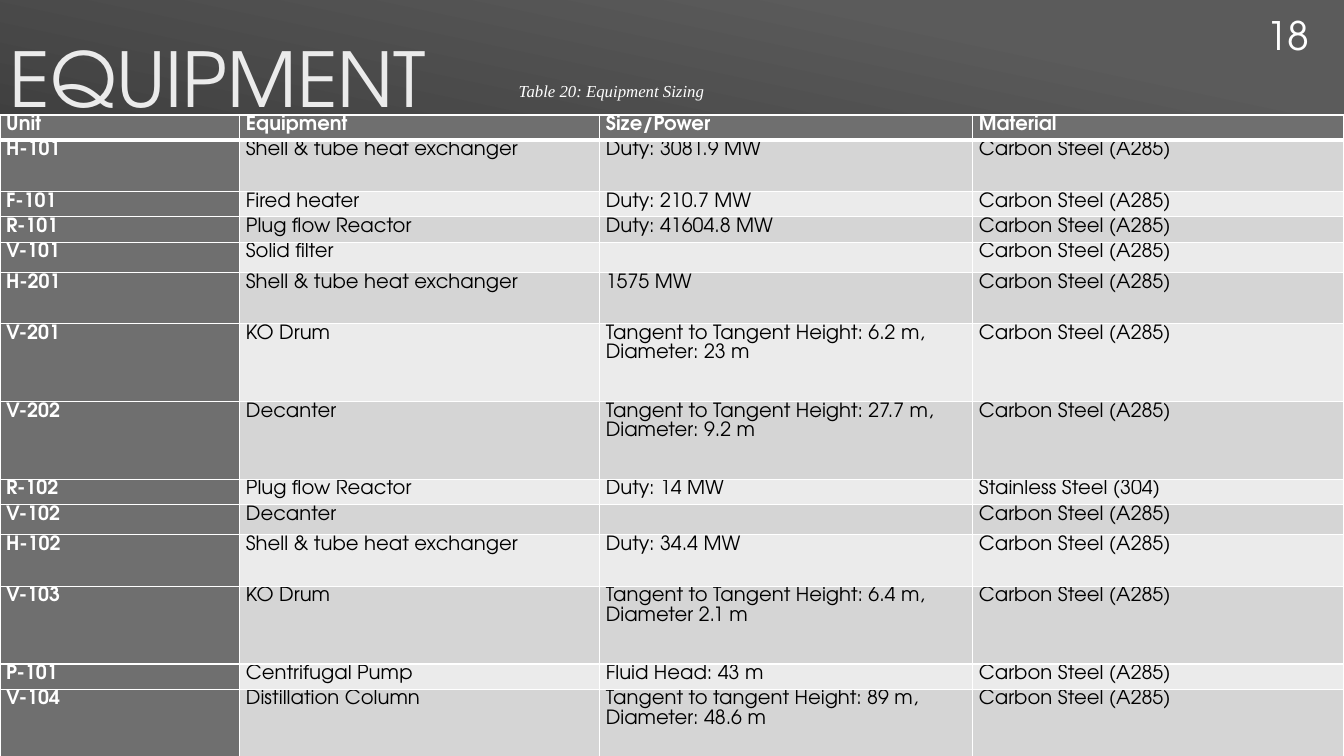
from dataclasses import dataclass

from lxml.etree import SubElement
from pptx import Presentation
from pptx.dml.color import RGBColor
from pptx.enum.text import MSO_ANCHOR, PP_ALIGN
from pptx.oxml.ns import qn
from pptx.util import Inches, Pt

WIDE, HIGH = 13.33, 7.5


@dataclass(frozen=True)
class Theme:
    sans: str = "TeX Gyre Adventor"
    serif: str = "Times New Roman"
    white: str = "FFFFFF"
    black: str = "000000"
    pale: str = "EBEBEB"
    light: str = "D5D5D5"
    dark: str = "6F6F6F"
    glow: str = "5B5B5B"
    title: int = 54
    number: int = 28
    body: int = 14
    note: int = 12


THEME = Theme()
STEEL = "Carbon Steel (A285)"
SHELL = "Shell & tube heat exchanger"
SHARES = (17.85, 26.78, 27.76, 27.61)
ROWS = (
    (1, "Unit", "Equipment", "Size/Power", "Material"),
    (2, "H-101", SHELL, "Duty: 3081.9 MW", STEEL),
    (1, "F-101", "Fired heater", "Duty: 210.7 MW", STEEL),
    (1, "R-101", "Plug flow Reactor", "Duty: 41604.8 MW", STEEL),
    (1, "V-101", "Solid filter", "", STEEL),
    (2, "H-201", SHELL, "1575 MW", STEEL),
    (3, "V-201", "KO Drum", "Tangent to Tangent Height: 6.2 m, Diameter: 23 m", STEEL),
    (3, "V-202", "Decanter", "Tangent to Tangent Height: 27.7 m, Diameter: 9.2 m", STEEL),
    (1, "R-102", "Plug flow Reactor", "Duty: 14 MW", "Stainless Steel (304)"),
    (1, "V-102", "Decanter", "", STEEL),
    (2, "H-102", SHELL, "Duty: 34.4 MW", STEEL),
    (3, "V-103", "KO Drum", "Tangent to Tangent Height: 6.4 m, Diameter 2.1 m", STEEL),
    (1, "P-101", "Centrifugal Pump", "Fluid Head: 43 m", STEEL),
    (3, "V-104", "Distillation Column", "Tangent to tangent Height: 89 m, Diameter: 48.6 m", STEEL),
)


def across(share):
    return Inches(WIDE * share / 100)


def down(share):
    return Inches(HIGH * share / 100)


def area(left, top, width, height):
    return across(left), down(top), across(width), down(height)


def write(frame, text, size, font=THEME.sans, color=THEME.white, bold=False,
          italic=False, align=PP_ALIGN.LEFT, space=None):
    frame.word_wrap = True
    para = frame.paragraphs[0]
    para.alignment = align
    para.line_spacing = space
    run = para.add_run()
    run.text = text
    run.font.size = Pt(size)
    run.font.name = font
    run.font.bold = bold
    run.font.italic = italic
    run.font.color.rgb = RGBColor.from_string(color)


def label(slide, place, text, size, anchor=MSO_ANCHOR.TOP, **style):
    frame = slide.shapes.add_textbox(*area(*place)).text_frame
    frame.vertical_anchor = anchor
    write(frame, text, size, **style)


def edge(cell, side, width):
    line = SubElement(cell._tc.get_or_add_tcPr(), qn(f"a:{side}"), w=str(Pt(width)))
    fill = SubElement(line, qn("a:solidFill"))
    SubElement(fill, qn("a:srgbClr"), val=THEME.white)


def paint(cell, text, row, col):
    head = row == 0 or col == 0
    band = THEME.light if row % 2 else THEME.pale
    for side in ("lnL", "lnR", "lnT", "lnB"):
        thick = (row, side) in ((0, "lnB"), (1, "lnT"))
        edge(cell, side, 3 if thick else 1)
    cell.fill.solid()
    cell.fill.fore_color.rgb = RGBColor.from_string(THEME.dark if head else band)
    cell.margin_left = cell.margin_right = Inches(0.06)
    cell.margin_top = cell.margin_bottom = 0
    write(cell.text_frame, text, THEME.body, bold=head, space=1.07,
          color=THEME.white if head else THEME.black)


def grid(slide, place, shares, rows):
    table = slide.shapes.add_table(len(rows), len(shares), *area(*place)).table
    for column, share in zip(table.columns, shares):
        column.width = across(share)
    for row, (lines, *texts) in enumerate(rows):
        table.rows[row].height = down(3.47 * lines - 0.13)
        for col, text in enumerate(texts):
            paint(table.cell(row, col), text, row, col)


def shade(slide):
    fill = slide.background.fill
    fill.gradient()
    fill.gradient_angle = 258
    stops = zip(fill.gradient_stops, (0.1, 1), (THEME.glow, THEME.black))
    for stop, place, color in stops:
        stop.position = place
        stop.color.rgb = RGBColor.from_string(color)


def main():
    deck = Presentation()
    deck.slide_width, deck.slide_height = across(100), down(100)
    slide = deck.slides.add_slide(deck.slide_layouts[6])
    shade(slide)
    label(slide, (0, -22.67, 71.72, 39.6), "EQUIPMENT", THEME.title,
          anchor=MSO_ANCHOR.BOTTOM, color=THEME.pale)
    grid(slide, (0, 15.2, 100, 84.8), SHARES, ROWS)
    label(slide, (17.63, 10, 55.74, 4), "Table 20: Equipment Sizing", THEME.note,
          anchor=MSO_ANCHOR.MIDDLE, font=THEME.serif, italic=True,
          align=PP_ALIGN.CENTER)
    label(slide, (93.47, 0.8, 5.33, 7.6), "18", THEME.number)
    deck.save("out.pptx")


if __name__ == "__main__":
    main()
